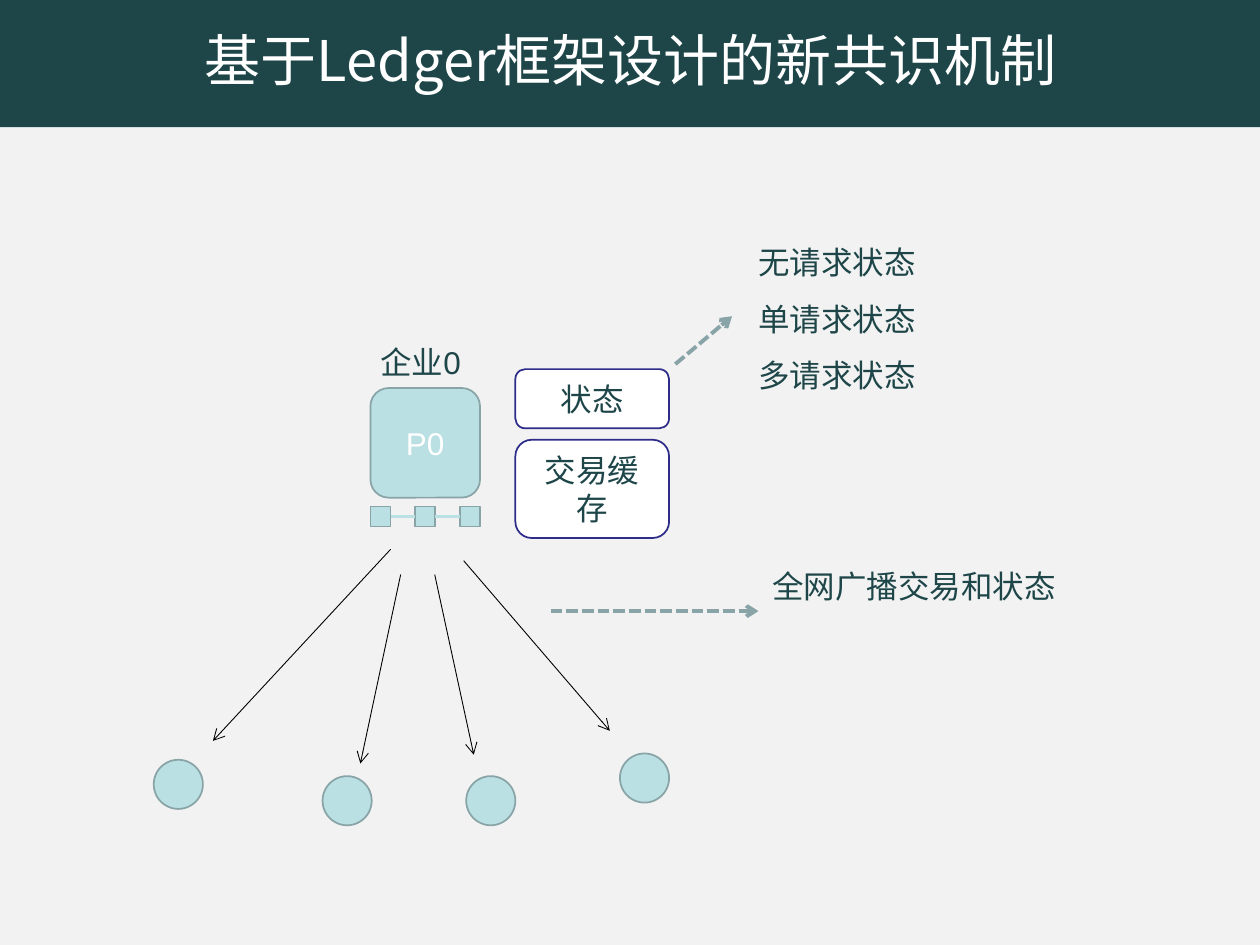
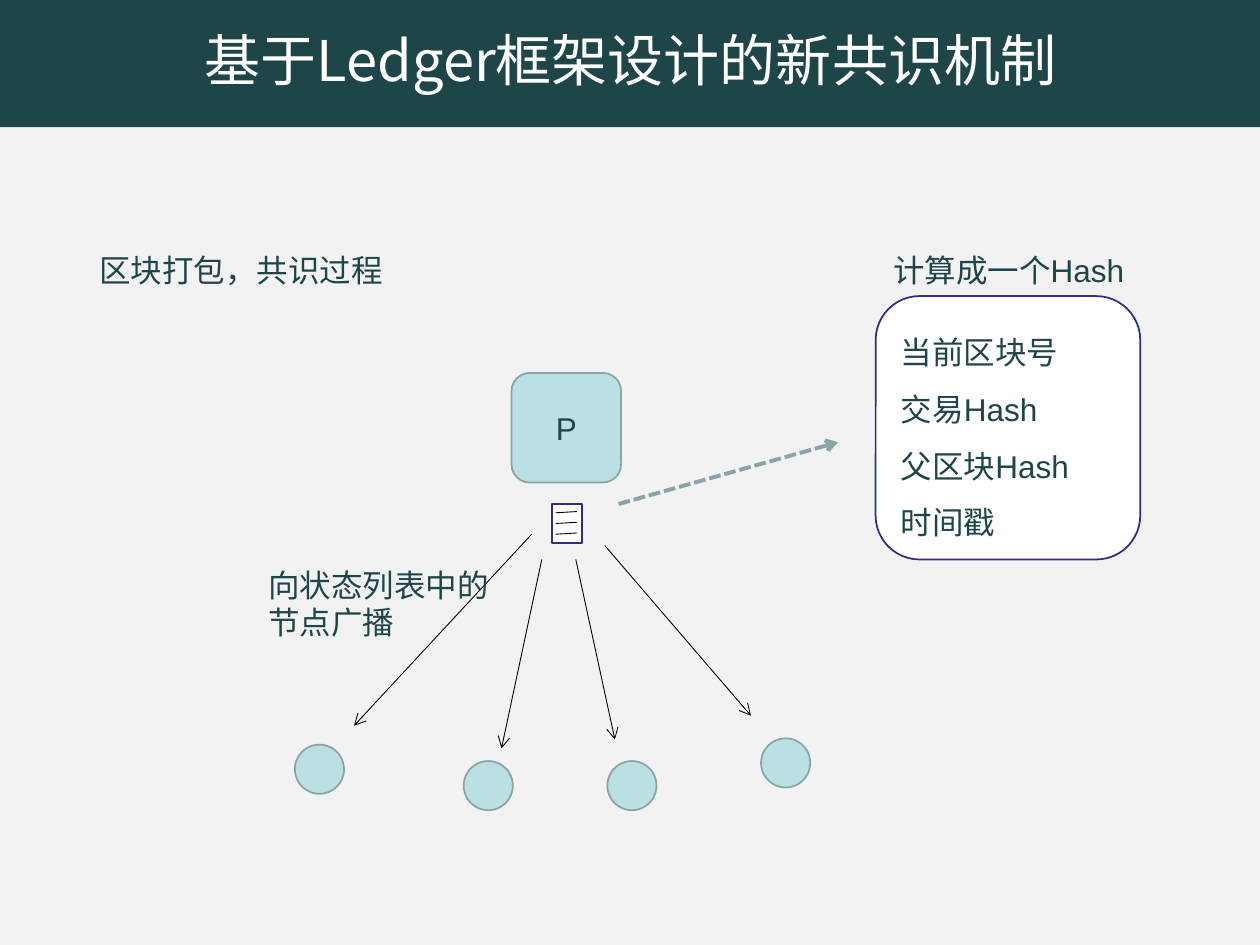
"""Build two slides on a consensus mechanism, laid out on a grid of 100 columns by 75 rows."""
from dataclasses import dataclass

import lxml.etree
import pptx
import pptx.dml.color
import pptx.enum.dml
import pptx.enum.shapes
import pptx.enum.text
import pptx.oxml.ns
import pptx.presentation
import pptx.shapes.autoshape
import pptx.shapes.connector
import pptx.slide
import pptx.text.text
import pptx.util

RGBColor = pptx.dml.color.RGBColor
Kind = pptx.enum.shapes.MSO_SHAPE
Align = pptx.enum.text.PP_ALIGN
Anchor = pptx.enum.text.MSO_ANCHOR

DARK = RGBColor(0x1E, 0x46, 0x49)
AQUA = RGBColor(0xBB, 0xE0, 0xE3)
GREY_TEAL = RGBColor(0x89, 0xA4, 0xA7)
NAVY = RGBColor(0x2D, 0x2D, 0x89)
PAPER = RGBColor(0xF2, 0xF2, 0xF2)
WHITE = RGBColor(0xFF, 0xFF, 0xFF)
BLACK = RGBColor(0, 0, 0)

LATIN_FONT = "Arial"
CJK_FONT = "Noto Sans CJK SC"
TITLE = "基于Ledger框架设计的新共识机制"
SLIDE_WIDTH = pptx.util.Inches(10)
SLIDE_HEIGHT = pptx.util.Inches(7.5)
COLUMN = SLIDE_WIDTH / 100
ROW = SLIDE_HEIGHT / 75
TITLE_ONLY = 5
PEER_SIZE = 8.7
NODE_SIZE = 3.9
BLOCK_SIZE = 1.6
BLOCK_STEP = 3.55


@dataclass(frozen=True)
class Area:
    """A rectangle in columns and rows."""
    column: float
    row: float
    columns: float
    rows: float

    def lengths(self) -> tuple[int, int, int, int]:
        """Return left, top, width and height in slide units."""
        return (round(self.column * COLUMN), round(self.row * ROW),
                round(self.columns * COLUMN), round(self.rows * ROW))


@dataclass(frozen=True)
class Stroke:
    """The look of a connector."""
    colour: RGBColor
    points: float
    arrow: bool = False
    dashed: bool = False


@dataclass(frozen=True)
class Style:
    """The look of a filled shape."""
    kind: int
    fill: RGBColor
    outline: RGBColor


@dataclass(frozen=True)
class Broadcast:
    """An arrow and the node it reaches, measured from the peer's corner."""
    start: tuple[float, float]
    end: tuple[float, float]
    node: tuple[float, float]


PEER = Style(Kind.ROUNDED_RECTANGLE, AQUA, GREY_TEAL)
BLOCK = Style(Kind.RECTANGLE, AQUA, GREY_TEAL)
NODE = Style(Kind.OVAL, AQUA, GREY_TEAL)
CARD = Style(Kind.ROUNDED_RECTANGLE, WHITE, NAVY)
SHEET = Style(Kind.RECTANGLE, WHITE, NAVY)

SEND = Stroke(BLACK, 0.5, arrow=True)
RULE = Stroke(BLACK, 0.5)
CHAIN = Stroke(AQUA, 1.75)
CALLOUT = Stroke(GREY_TEAL, 2.25, arrow=True, dashed=True)

BROADCASTS = (
    Broadcast((1.6, 12.8), (-12.5, 28), (-17.2, 29.5)),
    Broadcast((2.4, 14.8), (-0.8, 29.8), (-3.8, 30.8)),
    Broadcast((5.1, 14.8), (8.2, 29.1), (7.6, 30.8)),
    Broadcast((7.4, 13.7), (19, 27.2), (19.8, 29)),
)


def write(frame: pptx.text.text.TextFrame, lines: tuple[str, ...], colour: RGBColor = DARK,
          align: Align = Align.LEFT, spacing: float = 1, size: int = 18,
          font: str = LATIN_FONT) -> None:
    """Write one paragraph per line."""
    for index, line in enumerate(lines):
        para = frame.add_paragraph() if index else frame.paragraphs[0]
        para.alignment = align
        para.line_spacing = spacing
        span = para.add_run()
        span.text = line
        span.font.size = pptx.util.Pt(size)
        span.font.name = font
        span.font.color.rgb = colour
        lxml.etree.SubElement(span.font._rPr, pptx.oxml.ns.qn("a:ea"), typeface=CJK_FONT)


def draw_shape(page: pptx.slide.Slide, area: Area, style: Style) -> pptx.shapes.autoshape.Shape:
    """Draw a filled and outlined preset shape."""
    shape = page.shapes.add_shape(style.kind, *area.lengths())
    shape.shadow.inherit = False
    shape.fill.solid()
    shape.fill.fore_color.rgb = style.fill
    shape.line.color.rgb = style.outline
    shape.line.width = pptx.util.Pt(1)
    return shape


def draw_card(page: pptx.slide.Slide, area: Area, style: Style, *lines: str,
              colour: RGBColor = DARK, align: Align = Align.CENTER, spacing: float = 1) -> None:
    """Draw a shape with text in its middle."""
    frame = draw_shape(page, area, style).text_frame
    frame.word_wrap = True
    frame.vertical_anchor = Anchor.MIDDLE
    write(frame, lines, colour, align, spacing)


def draw_note(page: pptx.slide.Slide, area: Area, *lines: str, spacing: float = 1) -> None:
    """Place free text that keeps its lines unwrapped."""
    frame = page.shapes.add_textbox(*area.lengths()).text_frame
    frame.word_wrap = False
    frame.auto_size = pptx.enum.text.MSO_AUTO_SIZE.SHAPE_TO_FIT_TEXT
    write(frame, lines, spacing=spacing)


def draw_line(page: pptx.slide.Slide, start: tuple[float, float], end: tuple[float, float],
              stroke: Stroke) -> pptx.shapes.connector.Connector:
    """Draw a straight connector between two grid points."""
    line = page.shapes.add_connector(
        pptx.enum.shapes.MSO_CONNECTOR.STRAIGHT,
        round(start[0] * COLUMN), round(start[1] * ROW),
        round(end[0] * COLUMN), round(end[1] * ROW))
    line.line.color.rgb = stroke.colour
    line.line.width = pptx.util.Pt(stroke.points)
    if stroke.dashed:
        line.line.dash_style = pptx.enum.dml.MSO_LINE.SQUARE_DOT
    if stroke.arrow:
        lxml.etree.SubElement(line.line._get_or_add_ln(), pptx.oxml.ns.qn("a:tailEnd"),
                              type="arrow")
    lxml.etree.SubElement(line._element.spPr, pptx.oxml.ns.qn("a:effectLst"))
    return line


def add_page(deck: pptx.presentation.Presentation) -> pptx.slide.Slide:
    """Add a slide with the shared title band."""
    page = deck.slides.add_slide(deck.slide_layouts[TITLE_ONLY])
    title = page.shapes.title
    title.left, title.top, title.width, title.height = Area(0, -0.7, 100.1, 10.8).lengths()
    title.fill.solid()
    title.fill.fore_color.rgb = DARK
    title.text_frame.auto_size = pptx.enum.text.MSO_AUTO_SIZE.NONE
    title.text_frame.vertical_anchor = Anchor.MIDDLE
    write(title.text_frame, (TITLE,), WHITE, Align.CENTER, size=32, font=CJK_FONT)
    return page


def draw_peer_network(page: pptx.slide.Slide, column: float, row: float, name: str,
                      colour: RGBColor) -> None:
    """Draw a peer and the nodes it broadcasts to."""
    draw_card(page, Area(column, row, PEER_SIZE, PEER_SIZE), PEER, name, colour=colour)
    for send in BROADCASTS:
        draw_line(page, (column + send.start[0], row + send.start[1]),
                  (column + send.end[0], row + send.end[1]), SEND)
        draw_shape(page, Area(column + send.node[0], row + send.node[1],
                              NODE_SIZE, NODE_SIZE), NODE)


def draw_chain(page: pptx.slide.Slide, column: float, row: float) -> None:
    """Draw three linked blocks."""
    middle = row + BLOCK_SIZE / 2
    for index in range(3):
        left = column + index * BLOCK_STEP
        draw_shape(page, Area(left, row, BLOCK_SIZE, BLOCK_SIZE), BLOCK)
        if index:
            draw_line(page, (left - BLOCK_STEP + BLOCK_SIZE, middle), (left, middle), CHAIN)


def build_state_page(deck: pptx.presentation.Presentation) -> None:
    """Show a peer that broadcasts transactions and states."""
    page = add_page(deck)
    draw_peer_network(page, 29.4, 30.8, "P0", WHITE)
    draw_chain(page, 29.4, 40.2)
    draw_note(page, Area(29.2, 26.7, 9, 4), "企业0")
    draw_card(page, Area(40.9, 29.3, 12.2, 4.7), CARD, "状态")
    draw_card(page, Area(40.9, 34.9, 12.2, 7.8), CARD, "交易缓存")
    draw_line(page, (53.6, 28.9), (58.1, 25.1), CALLOUT)
    draw_note(page, Area(59.2, 17.3, 14.5, 14.5), "无请求状态", "单请求状态", "多请求状态",
              spacing=1.5)
    draw_line(page, (43.7, 48.5), (60.2, 48.5), CALLOUT)
    draw_note(page, Area(60.3, 44.5, 24.5, 4), "全网广播交易和状态")


def build_block_page(deck: pptx.presentation.Presentation) -> None:
    """Show a peer that packs a block and sends it out."""
    page = add_page(deck)
    draw_note(page, Area(6.9, 19.4, 24.5, 4), "区块打包，共识过程")
    draw_peer_network(page, 40.6, 29.6, "P", DARK)
    draw_shape(page, Area(43.8, 40, 2.4, 3.1), SHEET)
    for index in range(3):
        row = 40.7 + index * 0.85
        draw_line(page, (44.1, row), (45.8, row - 0.1), RULE)
    draw_line(page, (49.1, 40), (66.5, 35.1), CALLOUT)
    draw_note(page, Area(69.9, 19.4, 20.9, 4), "计算成一个Hash")
    draw_card(page, Area(69.5, 23.5, 21, 20.9), CARD, "当前区块号", "交易Hash", "父区块Hash",
              "时间戳", align=Align.LEFT, spacing=1.5)
    draw_note(page, Area(20.3, 44.4, 19.5, 7), "向状态列表中的", "节点广播")


def main() -> None:
    """Build and save the deck."""
    deck = pptx.Presentation()
    deck.slide_width = SLIDE_WIDTH
    deck.slide_height = SLIDE_HEIGHT
    backdrop = deck.slide_master.background.fill
    backdrop.solid()
    backdrop.fore_color.rgb = PAPER
    build_state_page(deck)
    build_block_page(deck)
    deck.save("out.pptx")


if __name__ == "__main__":
    main()
